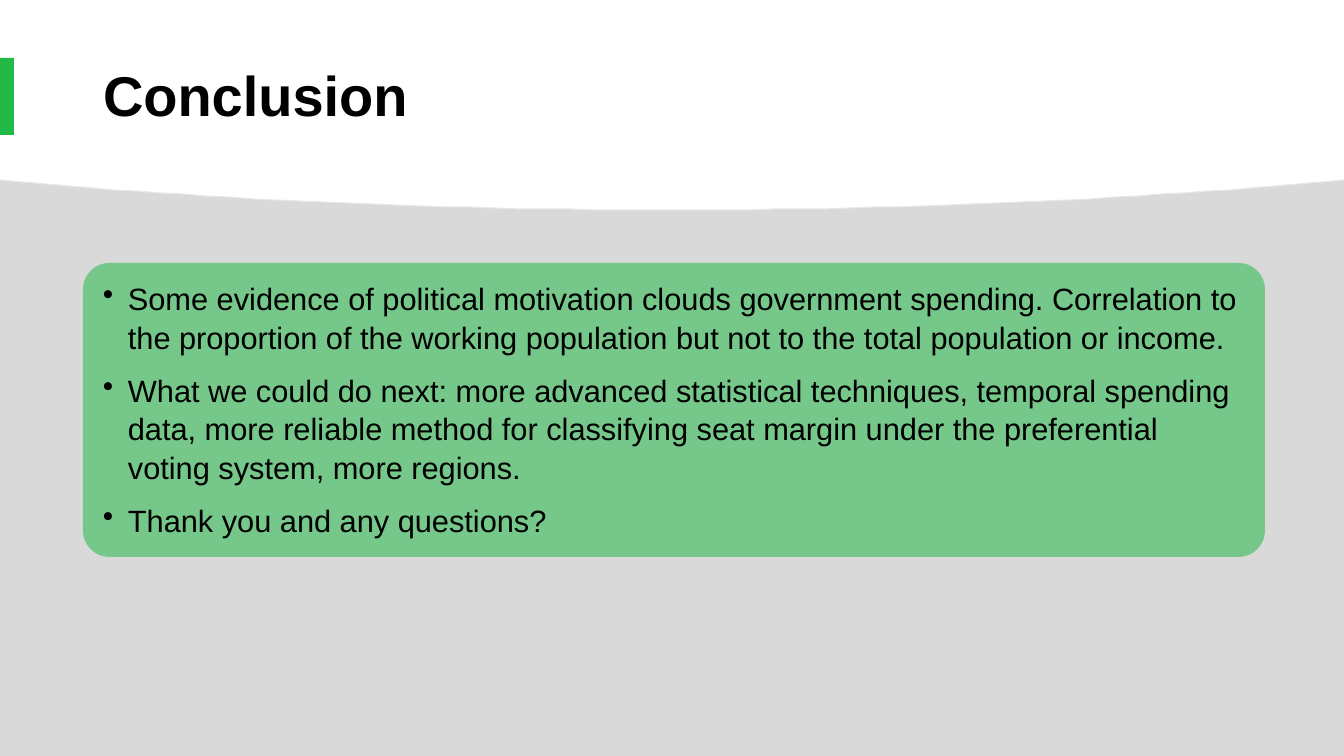
from pptx import Presentation
from pptx.dml.color import RGBColor
from pptx.enum.shapes import MSO_SHAPE
from pptx.enum.text import MSO_ANCHOR, PP_ALIGN
from pptx.oxml.ns import qn
from pptx.util import Pt
from lxml import etree

PX = 914400 / 100.8  # EMU per px
WIDTH, HEIGHT = 1344, 756
FONT = "Arial"
RECT, ROUNDED = MSO_SHAPE.RECTANGLE, MSO_SHAPE.ROUNDED_RECTANGLE
MIDDLE, TOP, LEFT = MSO_ANCHOR.MIDDLE, MSO_ANCHOR.TOP, PP_ALIGN.LEFT

WHITE = RGBColor(0xFF, 0xFF, 0xFF)
BLACK = RGBColor(0x00, 0x00, 0x00)
GREY = RGBColor(0xD9, 0xD9, 0xD9)
PINK = RGBColor(0xF0, 0xE5, 0xE5)
GREEN = RGBColor(0x21, 0xBA, 0x47)

POINTS = [
    "Some evidence of political motivation clouds government spending. "
    "Correlation to the proportion of the working population but not to the "
    "total population or income.",
    "What we could do next: more advanced statistical techniques, temporal "
    "spending data, more reliable method for classifying seat margin under "
    "the preferential voting system, more regions.",
    "Thank you and any questions?",
]


def emu(*lengths):
    return [round(v * PX) for v in lengths]


def paint(sp, fill, line=None):
    sp.shadow.inherit = False
    sp.fill.solid()
    sp.fill.fore_color.rgb = fill
    if line is None:
        sp.line.fill.background()
    else:
        sp.line.color.rgb = line
        sp.line.width = Pt(0.75)


def add_box(s, kind, box, fill):
    sp = s.shapes.add_shape(kind, *emu(*box))
    paint(sp, fill)
    return sp


def set_alpha(sp, percent):
    color = sp.fill._xPr.find(qn("a:solidFill"))[0]
    etree.SubElement(color, qn("a:alpha"), val=str(percent * 1000))


def bezier(p0, p1, p2, p3, steps=24):
    """Points on a cubic curve, both ends included."""
    for i in range(steps + 1):
        t = i / steps
        u = 1 - t
        yield tuple(u**3 * a + 3 * u * u * t * b + 3 * u * t * t * c + t**3 * d
                    for a, b, c, d in zip(p0, p1, p2, p3))


def add_header(s, lift, line=None):
    """White sheet with a curved lower edge, symmetric about the middle."""
    right = [(WIDTH, 180)]
    right += bezier((1252, 188), (1073, 202), (878, 210), (672, 210))
    left = [(WIDTH - x, y) for x, y in reversed(right[:-1])]
    edge = [(x, y - lift) for x, y in right + left]
    builder = s.shapes.build_freeform(0, 0, scale=PX)
    builder.add_line_segments([(WIDTH, 0)] + edge, close=True)
    paint(builder.convert_to_shape(), WHITE, line)


def style(p, size, bold=False):
    p.alignment = LEFT
    p.font.name = FONT
    p.font.size = Pt(size)
    p.font.bold = bold
    p.font.color.rgb = BLACK


def set_title(s, text, box):
    sp = s.shapes.title
    sp.left, sp.top, sp.width, sp.height = emu(*box)
    s.shapes._spTree.append(sp._element)  # bring to front
    tf = sp.text_frame
    tf.text = text
    tf.vertical_anchor = MIDDLE
    p = tf.paragraphs[0]
    p.line_spacing = 0.9
    style(p, 40, bold=True)


def add_bullets(s, texts, box):
    tf = s.shapes.add_textbox(*emu(*box)).text_frame
    tf.word_wrap = True
    tf.vertical_anchor = TOP
    for i, text in enumerate(texts):
        p = tf.add_paragraph() if i else tf.paragraphs[0]
        p.text = text
        p.space_before = Pt(10)
        p.line_spacing = 1.05
        style(p, 22)
        pPr = p._p.get_or_add_pPr()
        indent = emu(25)[0]
        pPr.set("marL", str(indent))
        pPr.set("indent", str(-indent))
        bullet = etree.Element(qn("a:buChar"), char="•")
        pPr.find(qn("a:defRPr")).addprevious(bullet)


def main():
    prs = Presentation()
    prs.slide_width, prs.slide_height = emu(WIDTH, HEIGHT)
    s = prs.slides.add_slide(prs.slide_layouts[5])

    # Background and curved header
    add_box(s, RECT, (0, 0, WIDTH, HEIGHT), GREY)
    add_header(s, 0, PINK)
    add_header(s, 1)

    # Title with its accent bar
    set_title(s, "Conclusion", (93, 28, 1159, 140))
    add_box(s, RECT, (0, 58, 14, 77), GREEN)

    # Conclusion panel
    panel = add_box(s, ROUNDED, (83, 263, 1182, 294), GREEN)
    panel.adjustments[0] = 0.09
    set_alpha(panel, 54)
    add_bullets(s, POINTS, (93, 273, 1159, 270))

    prs.save("out.pptx")


if __name__ == "__main__":
    main()
